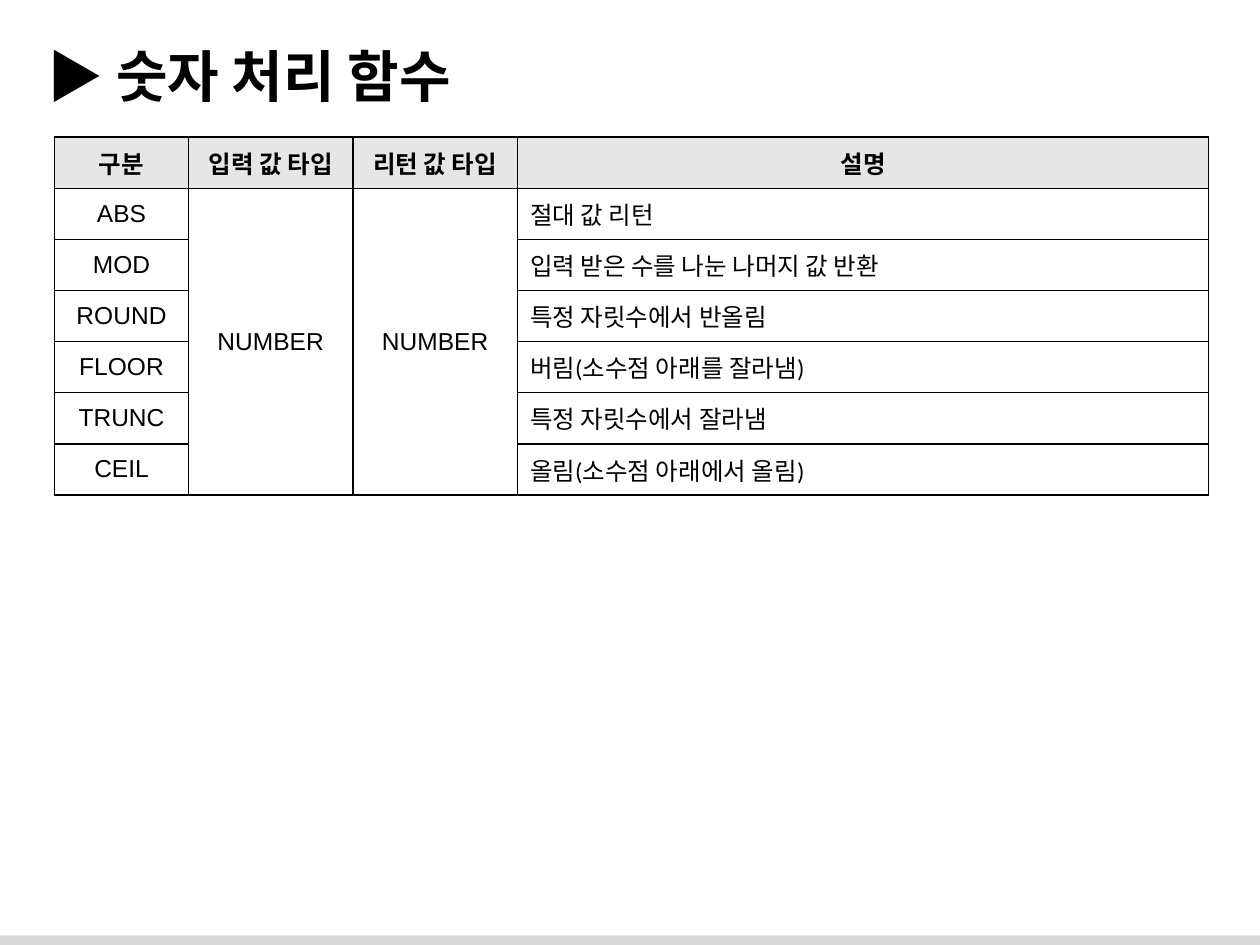
from lxml.etree import SubElement
from pptx import Presentation
from pptx.dml.color import RGBColor
from pptx.enum.shapes import MSO_SHAPE
from pptx.enum.text import MSO_ANCHOR, MSO_AUTO_SIZE, PP_ALIGN
from pptx.oxml.ns import qn
from pptx.util import Pt

FUNCTIONS = {
    "ABS": "절대 값 리턴",
    "MOD": "입력 받은 수를 나눈 나머지 값 반환",
    "ROUND": "특정 자릿수에서 반올림",
    "FLOOR": "버림(소수점 아래를 잘라냄)",
    "TRUNC": "특정 자릿수에서 잘라냄",
    "CEIL": "올림(소수점 아래에서 올림)",
}
HEADINGS = ["구분", "입력 값 타입", "리턴 값 타입", "설명"]
COLUMN_WIDTHS = [76.5, 94, 94, 395]
COLUMN_FONTS = ["Arial", "Arial", "Arial", "Calibri"]
ROW_HEIGHT = 29.2


def color(value):
    return RGBColor.from_string(value)


class FunctionSlide:
    ink = "000000"
    header_fill = "E7E6E6"
    bar_fill = "D9D9D9"

    def __init__(self, slide):
        self.slide = slide

    def add_text(self, frame, text, align=PP_ALIGN.LEFT, **font_format):
        paragraph = frame.paragraphs[0]
        paragraph.alignment = align
        run = paragraph.add_run()
        run.text = text
        run.font.color.rgb = color(self.ink)
        for key, value in font_format.items():
            setattr(run.font, key, value)

    def bar(self, left, top, width, height):
        footer = self.slide.shapes.add_shape(
            MSO_SHAPE.RECTANGLE, Pt(left), Pt(top), Pt(width), Pt(height))
        footer.shadow.inherit = False
        footer.fill.solid()
        footer.fill.fore_color.rgb = color(self.bar_fill)
        footer.line.fill.background()

    def title(self, text, left, top, width, height):
        frame = self.slide.shapes.add_textbox(
            Pt(left), Pt(top), Pt(width), Pt(height)).text_frame
        frame.word_wrap = True
        frame.auto_size = MSO_AUTO_SIZE.SHAPE_TO_FIT_TEXT
        self.add_text(frame, text, size=Pt(32), name="Arial", bold=True)

    def borders(self, cell):
        properties = cell._tc.get_or_add_tcPr()
        for side in ("lnL", "lnR", "lnT", "lnB"):
            line = SubElement(properties, qn(f"a:{side}"), w=str(Pt(1)))
            fill = SubElement(line, qn("a:solidFill"))
            SubElement(fill, qn("a:srgbClr"), val=self.ink)

    def cell(self, cell, text, is_header, font, align):
        self.borders(cell)
        cell.vertical_anchor = MSO_ANCHOR.MIDDLE
        if is_header:
            cell.fill.solid()
            cell.fill.fore_color.rgb = color(self.header_fill)
        else:
            cell.fill.background()
        if text:
            self.add_text(cell.text_frame, text, align,
                          size=Pt(14), name=font, bold=is_header)

    def table(self, rows, left, top):
        table = self.slide.shapes.add_table(
            len(rows), len(COLUMN_WIDTHS), Pt(left), Pt(top),
            Pt(sum(COLUMN_WIDTHS)), Pt(ROW_HEIGHT * len(rows))).table
        table.horz_banding = False
        for column, width in zip(table.columns, COLUMN_WIDTHS):
            column.width = Pt(width)
        for r, texts in enumerate(rows):
            table.rows[r].height = Pt(ROW_HEIGHT)
            is_header = r == 0
            for c, text in enumerate(texts):
                font = "Calibri" if is_header else COLUMN_FONTS[c]
                centred = is_header or c < len(texts) - 1
                align = PP_ALIGN.CENTER if centred else PP_ALIGN.LEFT
                self.cell(table.cell(r, c), text, is_header, font, align)
        for c in (1, 2):
            table.cell(1, c).merge(table.cell(len(rows) - 1, c))


def main():
    presentation = Presentation()
    presentation.slide_width = Pt(720)
    presentation.slide_height = Pt(540)
    page = FunctionSlide(
        presentation.slides.add_slide(presentation.slide_layouts[6]))

    rows = [HEADINGS]
    for i, (function, meaning) in enumerate(FUNCTIONS.items()):
        number_type = "NUMBER" if i == 0 else ""
        rows.append([function, number_type, number_type, meaning])

    page.bar(-1.5, 534.5, 723, 8)
    page.title("▶ 숫자 처리 함수", 20, 20, 680, 46)
    page.table(rows, 31.2, 78.4)
    presentation.save("out.pptx")


if __name__ == "__main__":
    main()
